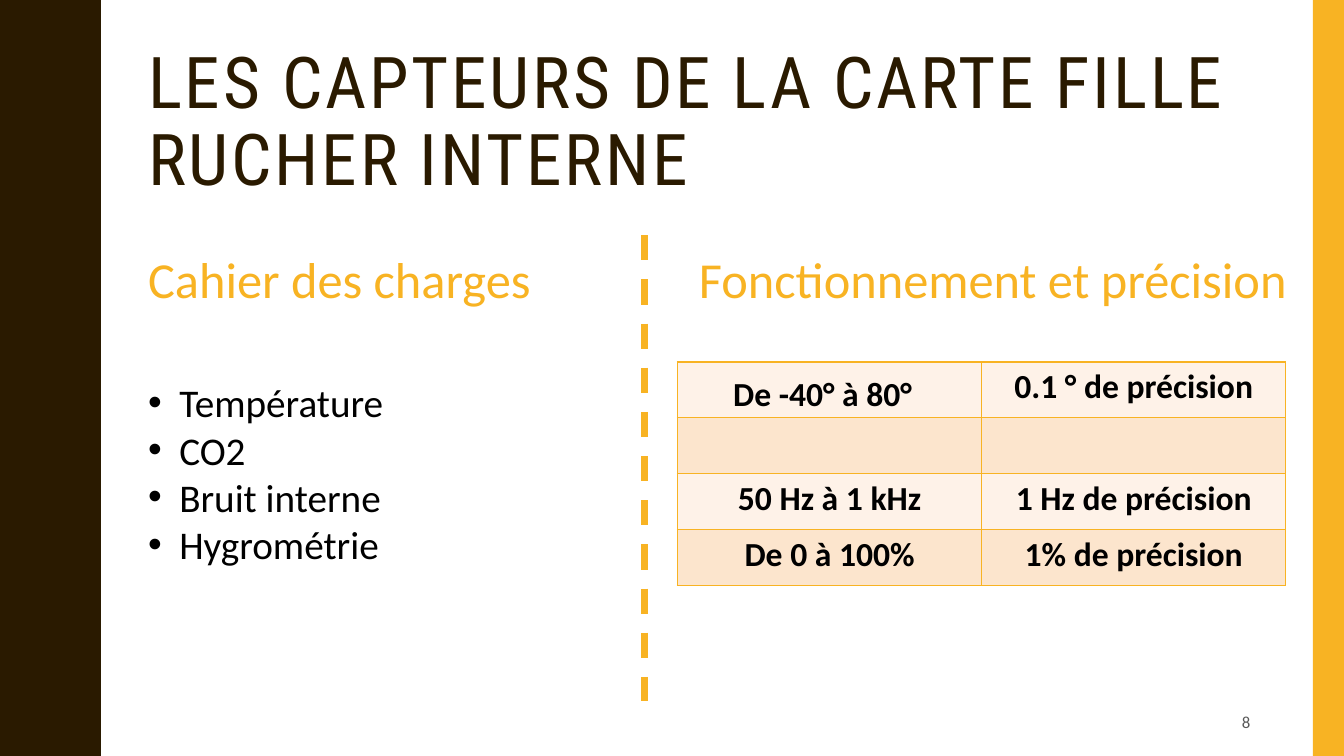
from dataclasses import dataclass

from lxml.etree import SubElement
from pptx import Presentation
from pptx.dml.color import RGBColor
from pptx.enum.dml import MSO_LINE
from pptx.enum.shapes import MSO_CONNECTOR, MSO_SHAPE
from pptx.enum.text import MSO_ANCHOR, PP_ALIGN
from pptx.oxml import parse_xml
from pptx.oxml.ns import nsdecls, qn
from pptx.util import Emu, Inches, Pt


@dataclass(frozen=True)
class Theme:
    dark: str = "2A1A00"
    gold: str = "F8B323"
    black: str = "000000"
    grey: str = "595959"
    bands: tuple = ("FEF2E8", "FCE5CD")
    head: str = "Roboto Condensed"
    body: str = "Calibri"
    title: int = 51
    sub: int = 36
    list: int = 28
    table: int = 24
    small: int = 12


theme = Theme()
deck = Presentation()
deck.slide_width, deck.slide_height = Inches(13.33), Inches(7.5)
slide = deck.slides.add_slide(deck.slide_layouts[5])
shapes = slide.shapes


def grid(*units):
    """Lengths on a grid of 160 columns by 90 rows of square cells."""
    return [Emu(round(n * deck.slide_height / 90)) for n in units]


def write(frame, *lines, size, color=theme.black, font=theme.body, bold=False,
          align=PP_ALIGN.LEFT, anchor=MSO_ANCHOR.TOP, lead=None, track=0,
          bullet=False):
    frame.word_wrap = True
    frame.vertical_anchor = anchor
    frame.text = "\n".join(lines)
    for para in frame.paragraphs:
        para.alignment = align
        if lead:
            para.line_spacing = lead
        if bullet:
            props = para._p.get_or_add_pPr()
            props.set("marL", str(Inches(0.31)))
            props.set("indent", str(-Inches(0.31)))
            SubElement(props, qn("a:buFont")).set("typeface", "Arial")
            SubElement(props, qn("a:buChar")).set("char", "•")
        for run in para.runs:
            run.font.size, run.font.name, run.font.bold = Pt(size), font, bold
            run.font.color.rgb = RGBColor.from_string(color)
            if track:
                run._r.get_or_add_rPr().set("spc", str(track * 100))


# Wavy left edge: one quarter wave, mirrored and repeated
quarter = [(0, 0.78), (0.07, 0.78), (0.14, 0.79), (0.2, 0.8),
           (0.25, 0.81), (0.29, 0.83), (0.33, 0.85)]
rise = quarter + [(0.75 - y, 1.75 - x) for y, x in reversed(quarter)]
fall = [(0.75 - y, x) for y, x in reversed(rise)]
edge = [(x, y + 0.75 * half) for half in range(10)
        for y, x in (fall if half % 2 else rise)]
pen = shapes.build_freeform(0, 0, scale=Inches(1))
pen.add_line_segments(edge + [(0, 7.5)], close=True)
wave = pen.convert_to_shape()

# Right band
band = shapes.add_shape(MSO_SHAPE.RECTANGLE, *grid(156.25, 0, 3.71, 90))
for part, color in ((wave, theme.dark), (band, theme.gold)):
    part.shadow.inherit = False
    part.fill.solid()
    part.fill.fore_color.rgb = RGBColor.from_string(color)
    part.line.fill.background()

# Title
title = shapes.title
title.left, title.top, title.width, title.height = grid(16.44, 5, 133.56, 19.6)
write(title.text_frame, "LES CAPTEURS DE LA CARTE FILLE\vRUCHER INTERNE",
      size=theme.title, color=theme.dark, font=theme.head, lead=0.9, track=2,
      anchor=MSO_ANCHOR.MIDDLE)

# Column heads
for text, left, width in (("Cahier des charges", 16.44, 55),
                          ("Fonctionnement et précision", 82, 74.5)):
    box = shapes.add_textbox(*grid(left, 28.9, width, 8.5))
    write(box.text_frame, text, size=theme.sub, color=theme.gold)

# Sensor list
box = shapes.add_textbox(*grid(16.44, 44.5, 36, 24.1))
write(box.text_frame, "Température", "CO2", "Bruit interne", "Hygrométrie",
      size=theme.list, bullet=True)

# Dashed divider
rule = shapes.add_connector(MSO_CONNECTOR.STRAIGHT, *grid(76.7, 28, 76.7, 83.5))
rule.line.color.rgb = RGBColor.from_string(theme.gold)
rule.line.width = Pt(4.5)
rule.line.dash_style = MSO_LINE.DASH
SubElement(rule._element.spPr, qn("a:effectLst"))

# Range and precision table
rows = [("De -40° à 80°", "0.1 ° de précision"),
        ("", ""),
        ("50 Hz à 1 kHz", "1 Hz de précision"),
        ("De 0 à 100%", "1% de précision")]
table = shapes.add_table(4, 2, *grid(80.64, 43.1, 72.4, 26.6)).table
for r, row in enumerate(rows):
    for c, text in enumerate(row):
        cell = table.cell(r, c)
        cell.fill.solid()
        cell.fill.fore_color.rgb = RGBColor.from_string(theme.bands[r % 2])
        first = r == c == 0
        if first:
            cell.margin_left, cell.margin_right = Inches(0.07), Inches(0.21)
            cell.margin_top = cell.margin_bottom = 0
        write(cell.text_frame, text, size=theme.table, bold=True,
              align=PP_ALIGN.CENTER, lead=1.3 if first else None)
        props = cell._tc.get_or_add_tcPr()
        for n, side in enumerate(("lnL", "lnR", "lnT", "lnB")):
            props.insert(n, parse_xml(
                f'<a:{side} {nsdecls("a")} w="{Pt(1)}"><a:solidFill>'
                f'<a:srgbClr val="{theme.gold}"/></a:solidFill></a:{side}>'))

# Page number
box = shapes.add_textbox(*grid(113, 83.6, 37, 4.6))
write(box.text_frame, "8", size=theme.small, color=theme.grey,
      align=PP_ALIGN.RIGHT, anchor=MSO_ANCHOR.MIDDLE)

deck.save("out.pptx")
